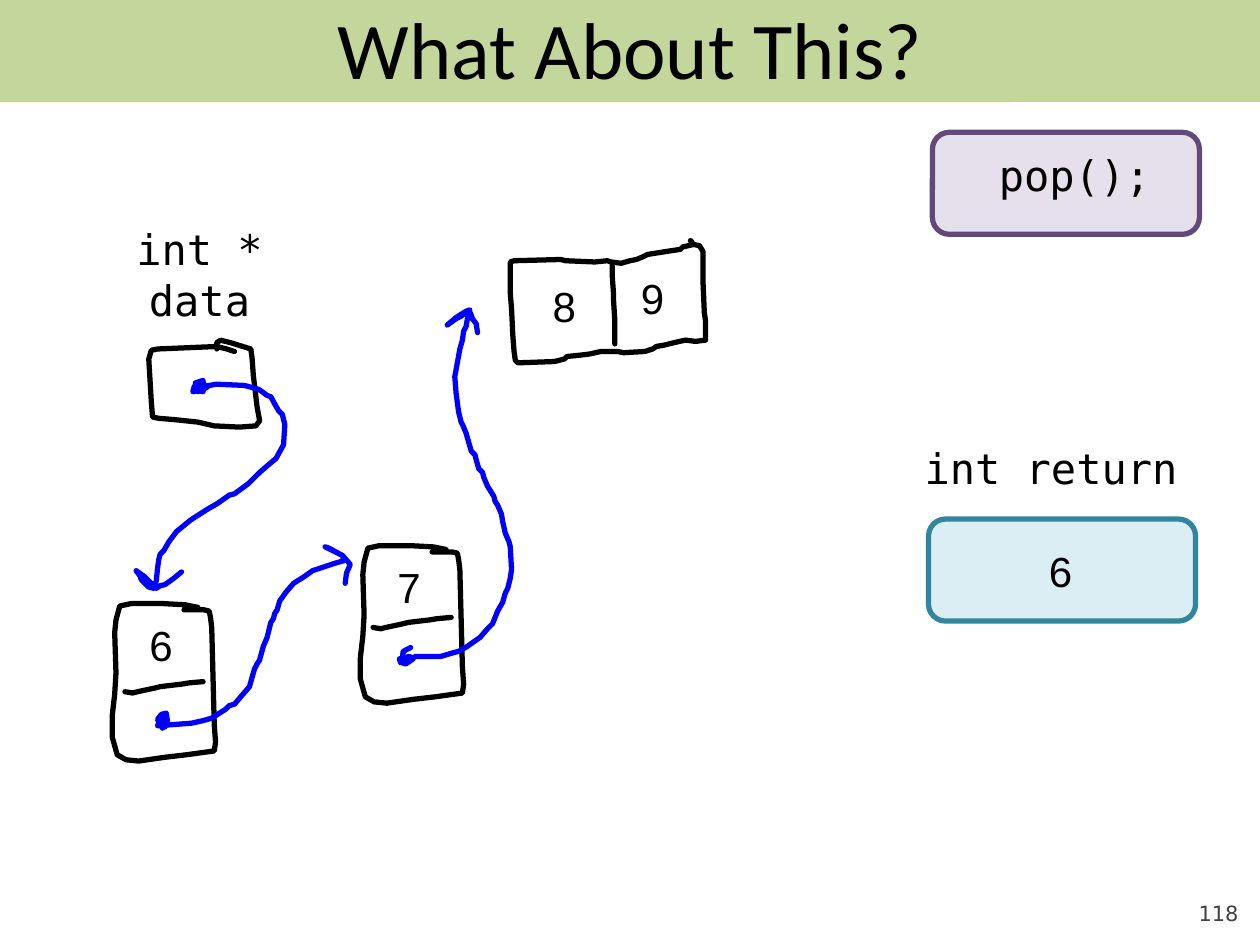
from lxml.etree import SubElement
from pptx import Presentation
from pptx.dml.color import RGBColor
from pptx.enum.shapes import MSO_SHAPE as Preset
from pptx.enum.text import MSO_ANCHOR as Anchor, MSO_AUTO_SIZE as AutoSize, PP_ALIGN as Align
from pptx.oxml.ns import qn
from pptx.util import Pt

BLACK = RGBColor(0x00, 0x00, 0x00)
BLUE = RGBColor(0x00, 0x00, 0xFF)
GREEN = RGBColor(0xC3, 0xD6, 0x9B)
GRAY = RGBColor(0x42, 0x42, 0x42)
LAVENDER = RGBColor(0xE6, 0xE0, 0xEC)
PURPLE = RGBColor(0x60, 0x4A, 0x7B)
PALE_TEAL = RGBColor(0xDB, 0xEE, 0xF4)
TEAL = RGBColor(0x31, 0x85, 0x9C)

SANS = "Arial"
MONO = "DejaVu Sans Mono"
STROKE_UNIT = Pt(0.72)
LINE_WIDTH = Pt(3)

DATA_BOX = [
    (68, 9), (62, 7), (54, 5), (7, 7), (2, 8), (0, 15), (2, 48), (3, 61), (8, 62), (20, 63),
    (39, 65), (52, 68), (72, 69), (85, 68), (88, 64), (86, 53), (83, 28), (82, 14), (81, 7),
    (65, 2), (57, 0), (54, 2), (54, 7)]
NODE_BOX = [
    (69, 3), (59, 1), (41, 0), (16, 0), (7, 2), (4, 13), (3, 23), (4, 55), (3, 72), (1, 89),
    (1, 106), (5, 120), (12, 124), (22, 125), (43, 122), (60, 120), (82, 117), (83, 110),
    (82, 96), (80, 19), (79, 11), (78, 6), (74, 5), (58, 5)]
NODE_DIVIDER = [(0, 8), (6, 9), (10, 8), (24, 5), (28, 4), (45, 2), (51, 1), (62, 0)]
ARRAY_BOX = [
    (146, 3), (137, 5), (135, 7), (128, 8), (109, 11), (105, 13), (100, 15), (95, 16), (88, 18),
    (80, 17), (77, 16), (67, 17), (44, 16), (40, 15), (3, 16), (0, 17), (0, 42), (1, 54), (2, 75),
    (3, 88), (4, 95), (6, 97), (35, 96), (43, 94), (45, 92), (55, 91), (63, 90), (72, 88),
    (85, 88), (90, 89), (107, 88), (113, 86), (116, 84), (122, 83), (130, 81), (139, 79),
    (147, 80), (155, 79), (155, 64), (154, 57), (153, 34), (153, 9), (152, 7), (150, 4),
    (145, 3), (144, 1), (143, 0)]
ARRAY_DIVIDER = [(0, 0), (0, 10), (1, 24), (1, 29), (2, 45), (2, 63)]
DATA_ARROW = [
    (54, 3), (49, 2), (46, 5), (45, 9), (54, 7), (53, 0), (47, 2), (49, 9), (57, 5), (53, 3),
    (46, 7), (53, 9), (54, 5), (58, 4), (64, 3), (86, 4), (97, 7), (100, 9), (104, 12), (107, 13),
    (109, 17), (113, 24), (116, 27), (118, 35), (117, 51), (111, 62), (105, 67), (98, 73),
    (89, 82), (78, 90), (74, 91), (64, 98), (57, 102), (46, 109), (43, 111), (32, 120), (26, 128),
    (22, 135), (19, 138), (18, 142), (17, 149), (16, 159), (14, 165), (10, 164), (4, 158),
    (3, 155), (0, 151), (7, 156), (16, 165), (19, 163), (23, 162), (30, 157), (36, 152)]
FIRST_NODE_ARROW = [
    (7, 136), (3, 142), (7, 143), (9, 139), (8, 132), (4, 133), (1, 137), (5, 144), (8, 140),
    (7, 137), (3, 138), (1, 142), (28, 140), (37, 138), (44, 136), (55, 129), (58, 126),
    (62, 125), (68, 118), (74, 111), (76, 104), (78, 97), (80, 93), (82, 90), (85, 79), (88, 72),
    (91, 60), (93, 57), (94, 53), (96, 50), (98, 43), (103, 36), (109, 29), (117, 24), (124, 19),
    (142, 13), (149, 11), (148, 7), (134, 0), (137, 1), (148, 7), (154, 14), (151, 21), (150, 29)]
SECOND_NODE_ARROW = [
    (10, 268), (4, 271), (3, 280), (6, 281), (12, 277), (9, 275), (1, 277), (2, 280), (6, 279),
    (14, 275), (34, 275), (44, 272), (48, 271), (55, 267), (62, 262), (65, 260), (71, 253),
    (75, 249), (79, 239), (83, 232), (85, 225), (87, 221), (89, 213), (90, 206), (89, 188),
    (88, 184), (85, 177), (83, 168), (82, 162), (79, 155), (77, 152), (76, 148), (71, 140),
    (68, 133), (67, 129), (64, 126), (62, 119), (61, 115), (58, 112), (54, 98), (52, 93),
    (50, 89), (48, 81), (46, 66), (45, 53), (49, 31), (51, 24), (52, 17), (54, 13), (55, 7),
    (57, 0), (54, 1), (46, 6), (39, 12), (46, 7), (50, 5), (56, 0), (58, 4), (59, 7), (62, 11),
    (63, 18)]


def add_text(slide, left, top, width, height, text, font=SANS, size=24, color=BLACK,
             align=Align.RIGHT):
    """Add an unwrapped text box and return its text frame."""
    box = slide.shapes.add_textbox(Pt(left), Pt(top), Pt(width), Pt(height))
    text_frame = box.text_frame
    text_frame.word_wrap = False
    text_frame.auto_size = AutoSize.SHAPE_TO_FIT_TEXT
    text_frame.text = text
    for paragraph in text_frame.paragraphs:
        paragraph.alignment = align
        paragraph.font.name = font
        paragraph.font.size = Pt(size)
        paragraph.font.color.rgb = color
    return text_frame


def fix_frame(text_frame, anchor):
    """Keep the size of a text frame and wrap its text at the given anchor."""
    text_frame.auto_size = AutoSize.NONE
    text_frame.word_wrap = True
    text_frame.vertical_anchor = anchor


def add_round_box(slide, left, top, width, height, fill, line=None):
    """Add a rounded rectangle, outlined when a line colour is given."""
    shape = slide.shapes.add_shape(
        Preset.ROUNDED_RECTANGLE, Pt(left), Pt(top), Pt(width), Pt(height))
    shape.shadow.inherit = False
    shape.fill.solid()
    shape.fill.fore_color.rgb = fill
    if line is None:
        shape.line.fill.background()
    else:
        shape.line.color.rgb = line
        shape.line.width = LINE_WIDTH
    return shape


def add_stroke(slide, left, top, points, color=BLACK):
    """Draw an open hand-drawn stroke with round ends and joins."""
    builder = slide.shapes.build_freeform(*points[0], scale=STROKE_UNIT)
    builder.add_line_segments(points[1:], close=False)
    shape = builder.convert_to_shape(Pt(left), Pt(top))
    shape.shadow.inherit = False
    shape.fill.background()
    shape.line.color.rgb = color
    shape.line.width = LINE_WIDTH
    outline = shape.line._get_or_add_ln()
    outline.set("cap", "rnd")
    SubElement(outline, qn("a:round"))


def add_value(slide, left, top, value):
    """Write the number held by a cell."""
    add_text(slide, left, top, 28, 36.5, value)


def add_header(slide, left, top, width, height):
    """Draw the title band with its title."""
    band = add_round_box(slide, left, top, width, height, GREEN)
    band.adjustments[0] = 0.001
    title = add_text(slide, left + 36, top, width - 72, 54, "What About This?", "Calibri", 46,
                     align=Align.CENTER)
    fix_frame(title, Anchor.MIDDLE)


def add_data_pointer(slide, left, top):
    """Draw the labelled box of the data pointer."""
    add_stroke(slide, left, top, DATA_BOX)
    add_text(slide, left - 14.5, top - 70, 87, 65.5, "int *\ndata", MONO, align=Align.CENTER)


def add_node(slide, left, top, value, divider_drop):
    """Draw a list node with its value above the divider."""
    add_stroke(slide, left, top, NODE_BOX)
    add_stroke(slide, left + 8, top + divider_drop, NODE_DIVIDER)
    add_value(slide, left + 14.4, top + 5.8, value)


def add_array(slide, left, top):
    """Draw the two-cell array at the end of the list."""
    add_stroke(slide, left, top, ARRAY_BOX)
    add_stroke(slide, left + 58.3, top + 13.7, ARRAY_DIVIDER)
    add_value(slide, left + 67, top + 14.4, "9")
    add_value(slide, left + 16.6, top + 19.4, "8")


def add_call(slide, left, top, width, height):
    """Draw the box with the function call."""
    add_round_box(slide, left, top, width, height, LAVENDER, PURPLE)
    add_text(slide, left + 30.2, top + 6.5, 101.5, 36, "pop();", MONO)


def add_return(slide, left, top, width, height):
    """Draw the labelled box with the returned value."""
    add_round_box(slide, left, top, width, height, PALE_TEAL, TEAL)
    add_text(slide, left - 10, top - 47.5, 160, 36.5, "int return", MONO, align=Align.CENTER)
    add_value(slide, left + 61.2, top + 11.5, "6")


def add_slide_number(slide, left, top, width, height):
    """Write the slide number at the bottom right."""
    text_frame = add_text(slide, left, top, width, height, "118", "DejaVu Sans", 12, GRAY)
    fix_frame(text_frame, Anchor.BOTTOM)
    text_frame.margin_left = text_frame.margin_right = 0
    text_frame.margin_top = text_frame.margin_bottom = 0


def main():
    """Build the slide and save it."""
    presentation = Presentation()
    presentation.slide_width, presentation.slide_height = Pt(720), Pt(540)
    slide = presentation.slides.add_slide(presentation.slide_layouts[6])
    add_slide_number(slide, 648, 500.4, 59.8, 28.8)
    add_header(slide, 0, 0, 720, 58.3)
    add_data_pointer(slide, 85, 194.4)
    add_node(slide, 205.2, 311.8, "7", 41)
    add_array(slide, 291.6, 137.5)
    add_call(slide, 532.8, 75.6, 152.6, 58.3)
    add_node(slide, 63.4, 344.9, "6", 44.6)
    add_stroke(slide, 227.5, 177.1, SECOND_NODE_ARROW, BLUE)
    add_stroke(slide, 89.3, 312.5, FIRST_NODE_ARROW, BLUE)
    add_stroke(slide, 77.8, 217.4, DATA_ARROW, BLUE)
    add_return(slide, 530.6, 296.6, 152.6, 58.3)
    presentation.save("out.pptx")


if __name__ == "__main__":
    main()
